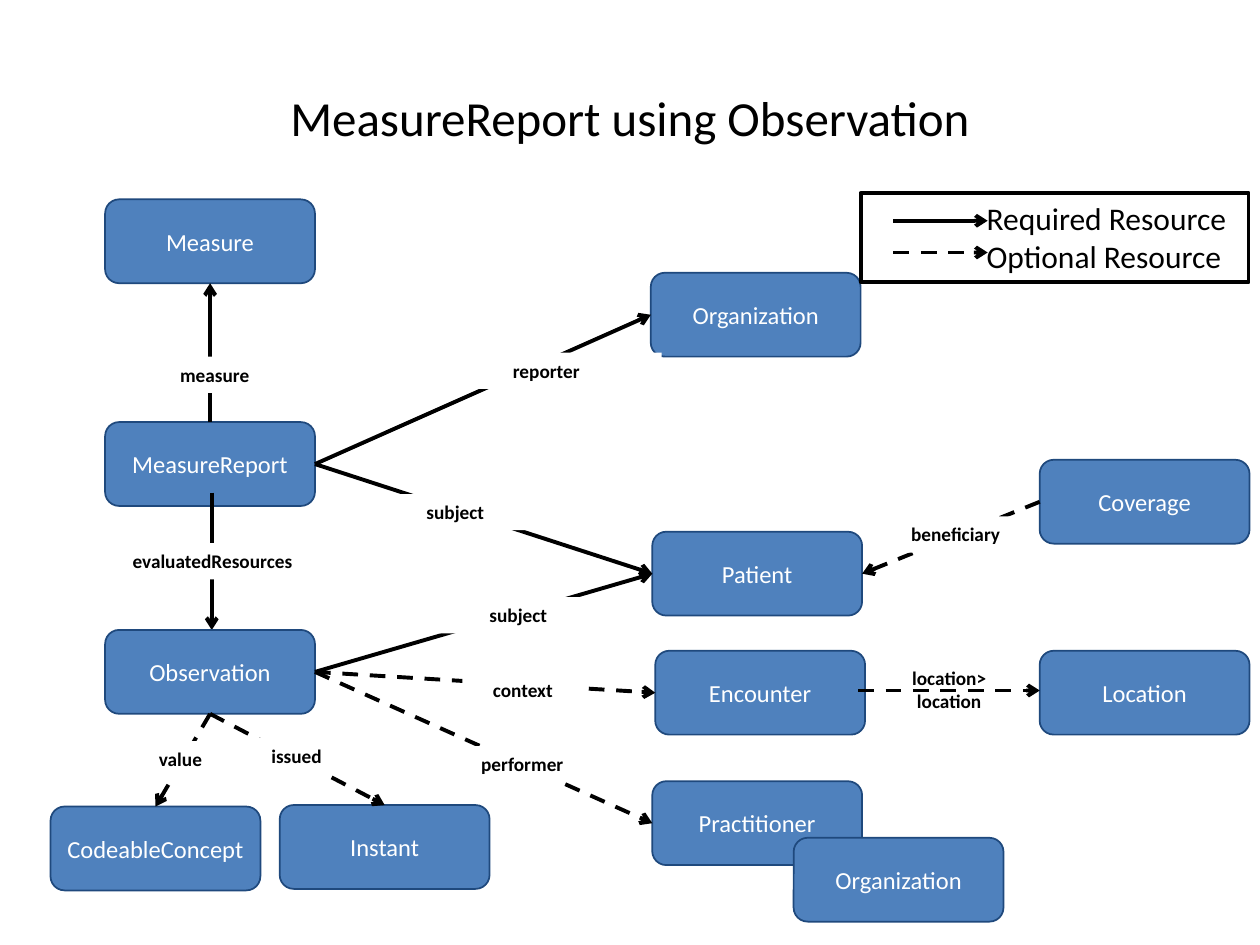
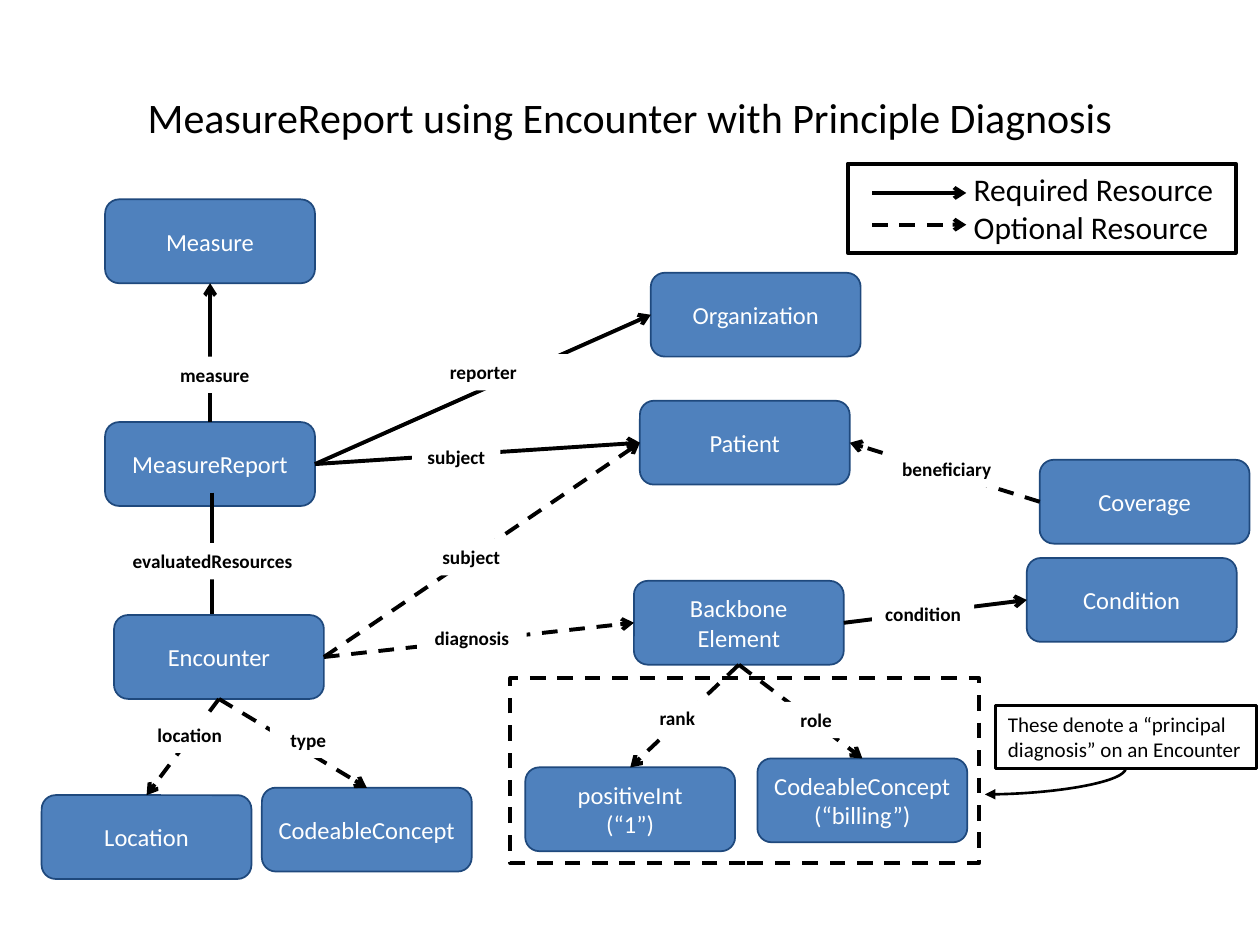
from pptx import Presentation
from pptx import util as u
from pptx.dml.color import RGBColor
from pptx.enum import dml, shapes, text
from pptx.oxml import ns
from lxml import etree

BLUE = RGBColor(0x4F, 0x81, 0xBD)
NAVY = RGBColor(0x1F, 0x49, 0x7D)
BLACK = RGBColor(0, 0, 0)
WHITE = RGBColor(0xFF, 0xFF, 0xFF)
FONT = "Calibri"

# All lengths are in centimetres.
BOX_W, BOX_H = 4.23, 1.69
LABEL_LINE, LABEL_PAD = 0.46, 0.27
LEGEND_W, LEGEND_H = 7.82, 1.8
KEY_LENGTH, KEY_GAP, KEY_INDENT = 1.9, 0.64, 2.54
LEGEND_ENTRIES = [("Required Resource", False), ("Optional Resource", True)]
SIDES = ["top", "left", "bottom", "right"]
REQUIRED, OPTIONAL = False, True

# Layers run from back to front.
# box: text, left, top      label: text, left, top, width
# link: start, end, dashed; an end is a (box, side) pair or an (x, y) point
CORE = [
    ("box", [
        ("Measure", 2.12, 4.02),
        ("MeasureReport", 2.12, 8.51),
        ("Organization", 13.12, 5.5),
        ("Coverage", 20.96, 9.27),
    ]),
    ("link", [
        (("MeasureReport", "top"), ("Measure", "bottom"), REQUIRED),
        ((4.27, 9.93), (4.27, 12.7), REQUIRED),
        (("MeasureReport", "right"), ("Organization", "left"), REQUIRED),
    ]),
    ("label", [
        ("measure", 2.74, 7.19, 3.18),
        ("evaluatedResources", 2.01, 10.95, 4.55),
    ]),
]

OBSERVATION = {
    "title": "MeasureReport using Observation",
    "title_size": 28,
    "legend": (17.35, 3.89),
    "legend_key": (18.01, 4.45),
    "layers": CORE + [
        ("box", [
            ("Observation", 2.12, 12.7),
            ("Patient", 13.15, 10.72),
            ("Practitioner", 13.15, 15.75),
            ("Encounter", 13.21, 13.12),
            ("Location", 20.96, 13.12),
            ("Organization", 16.0, 16.89),
            ("CodeableConcept", 1.02, 16.26),
            ("Instant", 5.64, 16.23),
        ]),
        ("link", [
            (("MeasureReport", "right"), ("Patient", "left"), REQUIRED),
            (("Observation", "right"), ("Patient", "left"), REQUIRED),
            (("Observation", "right"), ("Encounter", "left"), OPTIONAL),
            (("Observation", "right"), ("Practitioner", "left"), OPTIONAL),
            (("Coverage", "left"), ("Patient", "right"), OPTIONAL),
            (("Observation", "bottom"), ("CodeableConcept", "top"), OPTIONAL),
            (("Observation", "bottom"), ("Instant", "top"), OPTIONAL),
        ]),
        ("label", [
            ("reporter", 8.69, 7.11, 4.65),
            ("subject", 7.59, 9.96, 3.18),
            ("subject", 8.86, 12.04, 3.18),
            ("performer", 8.94, 15.04, 3.18),
            ("context", 9.32, 13.54, 2.44),
            ("location>\nlocation", 18.03, 13.31, 2.21),
            ("beneficiary", 18.01, 10.41, 2.51),
            ("value", 2.74, 14.94, 1.8),
            ("issued", 5.08, 14.88, 1.8),
        ]),
        ("link", [((17.3, 13.92), (20.96, 13.92), OPTIONAL)]),
    ],
}

ENCOUNTER = {
    "title": "MeasureReport using Encounter with Principle Diagnosis",
    "title_size": 24,
    "legend": (17.09, 3.3),
    "legend_key": (17.58, 3.89),
    "layers": CORE + [
        ("box", [
            ("Patient", 12.9, 8.08),
            ("Encounter", 2.3, 12.4),
            ("Location", 0.84, 16.03),
            ("CodeableConcept", 5.28, 15.88),
            ("Backbone\nElement", 12.78, 11.71),
            ("positiveInt\n(“1”)", 10.59, 15.47),
            ("CodeableConcept (“billing”)", 15.27, 15.29),
            ("Condition", 20.7, 11.25),
        ]),
        ("link", [
            (("MeasureReport", "right"), ("Patient", "left"), REQUIRED),
            (("Encounter", "bottom"), ("Location", "top"), OPTIONAL),
            (("Encounter", "bottom"), ("CodeableConcept", "top"), OPTIONAL),
            (("Coverage", "left"), ("Patient", "right"), OPTIONAL),
            (("Encounter", "right"), ("Patient", "left"), OPTIONAL),
            (("Encounter", "right"), ("Backbone\nElement", "left"), OPTIONAL),
            (("Backbone\nElement", "bottom"),
             ("CodeableConcept (“billing”)", "top"), OPTIONAL),
            (("Backbone\nElement", "bottom"), ("positiveInt\n(“1”)", "top"), OPTIONAL),
            (("Backbone\nElement", "right"), ("Condition", "left"), REQUIRED),
        ]),
        ("label", [
            ("reporter", 7.42, 7.14, 4.65),
            ("subject", 8.31, 8.86, 1.78),
            ("beneficiary", 17.83, 9.09, 2.51),
            ("location", 2.72, 14.45, 2.21),
            ("type", 5.44, 14.55, 1.55),
            ("subject", 8.56, 10.87, 1.88),
            ("diagnosis", 8.41, 12.5, 2.21),
            ("role", 15.77, 14.15, 1.37),
            ("rank", 12.55, 14.12, 2.21),
            ("condition", 17.58, 12.01, 2.06),
        ]),
    ],
}

DIAGNOSIS_FRAME = (10.29, 13.67, 9.45, 3.73)
DIAGNOSIS_NOTE = ("These denote a “principal diagnosis” on an Encounter",
                  (20.07, 14.22, 5.26, 1.27))
NOTE_CURVE = (21.01, 14.33, 0.53, 2.84)  # before its quarter turn


def write(frame, content, size, color, bold=False, align=text.PP_ALIGN.CENTER):
    """Write one paragraph per line of content."""
    for number, line in enumerate(content.split("\n")):
        paragraph = frame.add_paragraph() if number else frame.paragraphs[0]
        paragraph.alignment = align
        run = paragraph.add_run()
        run.text = line
        run.font.name = FONT
        run.font.size = u.Pt(size)
        run.font.bold = bold
        run.font.color.rgb = color


def add_panel(slide, kind, area, fill=None, outline=None, weight=1.0, dashed=False):
    """Add a flat preset shape with optional fill and outline."""
    panel = slide.shapes.add_shape(kind, *(u.Cm(v) for v in area))
    panel.shadow.inherit = False
    if fill is None:
        panel.fill.background()
    else:
        panel.fill.solid()
        panel.fill.fore_color.rgb = fill
    if outline is None:
        panel.line.fill.background()
    else:
        panel.line.color.rgb = outline
        panel.line.width = u.Pt(weight)
        if dashed:
            panel.line.dash_style = dml.MSO_LINE.DASH
    return panel


def add_rect(slide, area, **look):
    """Add a rectangle whose text starts at the top."""
    rect = add_panel(slide, shapes.MSO_SHAPE.RECTANGLE, area, **look)
    rect.text_frame.vertical_anchor = text.MSO_ANCHOR.TOP
    return rect


def add_box(slide, name, left, top):
    """Add a blue resource box."""
    box = add_panel(slide, shapes.MSO_SHAPE.FLOWCHART_ALTERNATE_PROCESS,
                    (left, top, BOX_W, BOX_H), fill=BLUE, outline=NAVY)
    box.text_frame.vertical_anchor = text.MSO_ANCHOR.MIDDLE
    write(box.text_frame, name, 14, WHITE)
    return box


def add_label(slide, name, left, top, width):
    """Add a white link label, as high as its lines need."""
    height = LABEL_PAD + LABEL_LINE * len(name.split("\n"))
    label = add_rect(slide, (left, top, width, height), fill=WHITE)
    label.text_frame.word_wrap = False
    write(label.text_frame, name, 11, BLACK, bold=True)


def add_arrow(slide, start, end, dashed=False, weight=2.25, head="arrow",
              kind=shapes.MSO_CONNECTOR.STRAIGHT):
    """Add a black connector with an arrowhead at its end."""
    arrow = slide.shapes.add_connector(kind, *(u.Cm(v) for v in (*start, *end)))
    arrow.line.color.rgb = BLACK
    arrow.line.width = u.Pt(weight)
    if dashed:
        arrow.line.dash_style = dml.MSO_LINE.DASH
    properties = arrow.element.spPr
    etree.SubElement(properties.find(ns.qn("a:ln")), ns.qn("a:tailEnd"), type=head)
    etree.SubElement(properties, ns.qn("a:effectLst"))
    return arrow


def add_link(slide, boxes, start, end, dashed):
    """Link two boxes, or two points, by a straight arrow."""
    if not isinstance(start[0], str):
        add_arrow(slide, start, end, dashed)
        return
    arrow = add_arrow(slide, (0, 0), (1, 1), dashed)
    arrow.begin_connect(boxes[start[0]], SIDES.index(start[1]))
    arrow.end_connect(boxes[end[0]], SIDES.index(end[1]))


def add_legend(slide, corner, key):
    """Add the legend frame, its entries and their sample arrows."""
    legend = add_rect(slide, (*corner, LEGEND_W, LEGEND_H), outline=BLACK, weight=2.25)
    legend.text_frame.margin_left = u.Cm(KEY_INDENT)
    legend.text_frame.margin_right = 0
    write(legend.text_frame, "\n".join(name for name, _ in LEGEND_ENTRIES),
          18, BLACK, align=text.PP_ALIGN.LEFT)
    left, top = key
    for row, (_, dashed) in enumerate(LEGEND_ENTRIES):
        y = top + row * KEY_GAP
        add_arrow(slide, (left, y), (left + KEY_LENGTH, y), dashed)


def add_diagram(deck, content):
    """Add a slide with title, diagram layers and legend."""
    slide = deck.slides.add_slide(deck.slide_layouts[5])
    title = slide.shapes.title
    title.left, title.top, title.width, title.height = (
        u.Cm(v) for v in (1.27, 0.76, 22.86, 3.18))
    title.text_frame.vertical_anchor = text.MSO_ANCHOR.MIDDLE
    write(title.text_frame, content["title"], content["title_size"], BLACK)
    boxes = {}
    for kind, items in content["layers"]:
        for item in items:
            if kind == "box":
                boxes[item[0]] = add_box(slide, *item)
            elif kind == "link":
                add_link(slide, boxes, *item)
            else:
                add_label(slide, *item)
    add_legend(slide, content["legend"], content["legend_key"])
    return slide


def add_diagnosis_note(slide):
    """Frame the diagnosis parts and point the note at them."""
    add_rect(slide, DIAGNOSIS_FRAME, outline=BLACK, weight=2.25, dashed=True)
    words, area = DIAGNOSIS_NOTE
    note = add_rect(slide, area, outline=BLACK, weight=1.5)
    note.text_frame.word_wrap = True
    write(note.text_frame, words, 12, BLACK, align=text.PP_ALIGN.LEFT)
    left, top, width, height = NOTE_CURVE
    curve = add_arrow(slide, (left, top), (left + width, top + height), weight=1.5,
                      head="triangle", kind=shapes.MSO_CONNECTOR.CURVE)
    properties = curve.element.spPr
    properties.find(ns.qn("a:prstGeom")).set("prst", "curvedConnector2")
    properties.find(ns.qn("a:xfrm")).set("rot", str(90 * 60000))


deck = Presentation()
deck.slide_width, deck.slide_height = u.Cm(25.4), u.Cm(19.05)
add_diagram(deck, OBSERVATION)
add_diagnosis_note(add_diagram(deck, ENCOUNTER))
deck.save("out.pptx")
